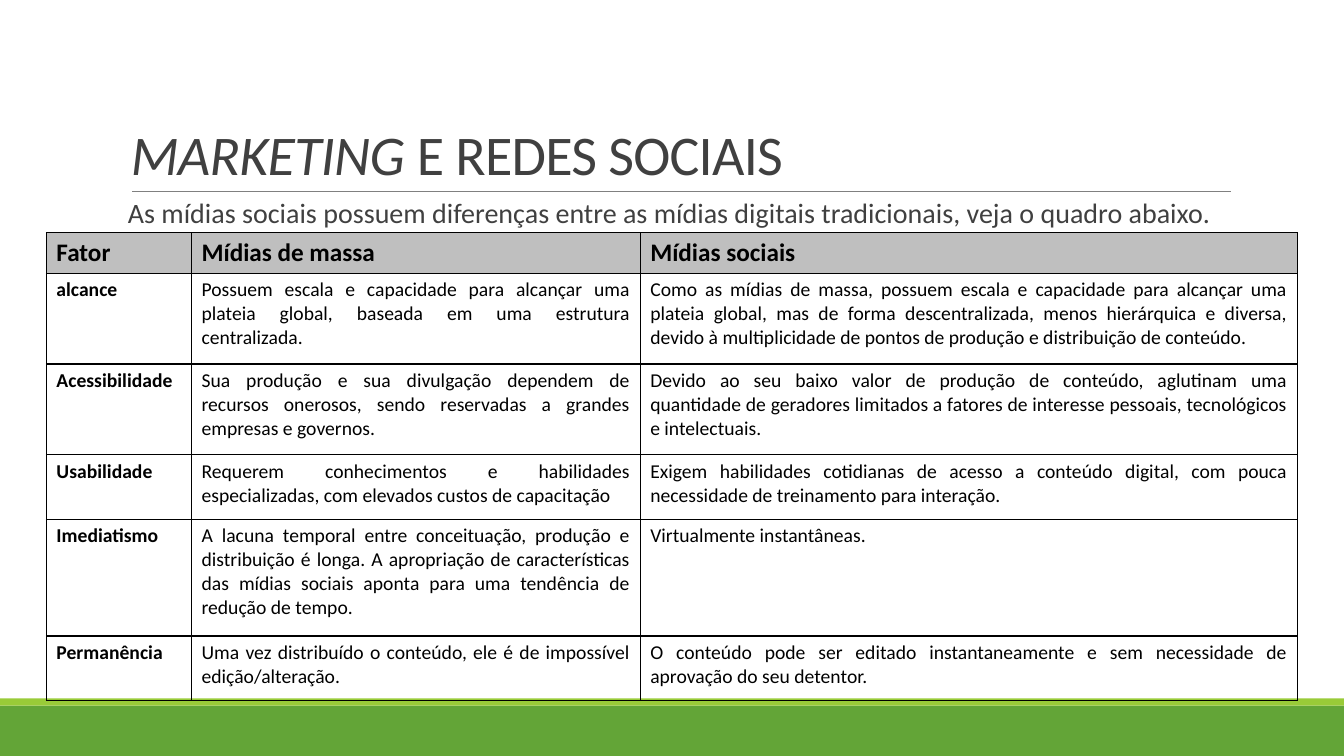
from lxml import etree
from pptx import Presentation
from pptx import util as u
from pptx.dml.color import RGBColor
from pptx.enum import shapes, text
from pptx.oxml.ns import qn

BLACK = RGBColor(0x00, 0x00, 0x00)
DARK_GRAY = RGBColor(0x40, 0x40, 0x40)
RULE_GRAY = RGBColor(0x80, 0x80, 0x80)
HEADER_GRAY = RGBColor(0xBF, 0xBF, 0xBF)
GREEN = RGBColor(0x63, 0xA5, 0x37)
LIME = RGBColor(0x99, 0xCB, 0x38)
FONT = "Calibri"

COLUMN_WIDTHS = [1.44, 4.45, 6.52]
ROW_HEIGHTS = [0.4, 0.9, 0.9, 0.64, 1.16, 0.64]
ROWS = [
    ("Fator", "Mídias de massa", "Mídias sociais"),
    ("alcance",
     "Possuem escala e capacidade para alcançar uma plateia global, baseada em uma "
     "estrutura centralizada.",
     "Como as mídias de massa, possuem escala e capacidade para alcançar uma plateia "
     "global, mas de forma descentralizada, menos hierárquica e diversa, devido à "
     "multiplicidade de pontos de produção e distribuição de conteúdo."),
    ("Acessibilidade",
     "Sua produção e sua divulgação dependem de recursos onerosos, sendo reservadas a "
     "grandes empresas e governos.",
     "Devido ao seu baixo valor de produção de conteúdo, aglutinam uma quantidade de "
     "geradores limitados a fatores de interesse pessoais, tecnológicos e intelectuais."),
    ("Usabilidade",
     "Requerem conhecimentos e habilidades especializadas, com elevados custos de "
     "capacitação",
     "Exigem habilidades cotidianas de acesso a conteúdo digital, com pouca necessidade "
     "de treinamento para interação."),
    ("Imediatismo",
     "A lacuna temporal entre conceituação, produção e distribuição é longa. A "
     "apropriação de características das mídias sociais aponta para uma tendência de "
     "redução de tempo.",
     "Virtualmente instantâneas."),
    ("Permanência",
     "Uma vez distribuído o conteúdo, ele é de impossível edição/alteração.",
     "O conteúdo pode ser editado instantaneamente e sem necessidade de aprovação do "
     "seu detentor."),
]


def add_span(para, words, size, color=DARK_GRAY, bold=False, italic=False, spacing=None):
    """Append a run; spacing is the tracking in points."""
    span = para.add_run()
    span.text = words
    font = span.font
    font.name, font.size, font.bold, font.italic = FONT, u.Pt(size), bold, italic
    font.color.rgb = color
    if spacing is not None:
        span._r.get_or_add_rPr().set("spc", str(round(spacing * 100)))


def add_text_box(page, left, top, width, height, anchor, line_spacing, inset=0.1):
    """Return the first paragraph of a new wrapping text box."""
    box = page.shapes.add_textbox(*map(u.Inches, (left, top, width, height)))
    frame = box.text_frame
    frame.word_wrap = True
    frame.vertical_anchor = anchor
    frame.margin_left = u.Inches(inset)
    frame.margin_right = u.Inches(0.1)
    para = frame.paragraphs[0]
    para.line_spacing = line_spacing
    return para


def add_footer(page, left, top, width, height, stripe=0.07):
    for color, y, depth in ((GREEN, top + stripe, height - stripe), (LIME, top, stripe)):
        band = page.shapes.add_shape(shapes.MSO_SHAPE.RECTANGLE,
                                     *map(u.Inches, (left, y, width, depth)))
        band.shadow.inherit = False
        band.fill.solid()
        band.fill.fore_color.rgb = color
        band.line.fill.background()


def add_title(page, left, top, width, height):
    para = add_text_box(page, left, top, width, height, text.MSO_ANCHOR.BOTTOM, 0.85)
    add_span(para, "MARKETING ", 40, italic=True, spacing=-0.5)
    add_span(para, "E REDES SOCIAIS", 40, spacing=-0.5)
    rule_left, rule_y = left + 0.11, top + height
    rule = page.shapes.add_connector(
        shapes.MSO_CONNECTOR.STRAIGHT,
        *map(u.Inches, (rule_left, rule_y, rule_left + 10.9, rule_y)))
    rule.line.color.rgb = RULE_GRAY
    rule.line.width = u.Pt(0.5)
    etree.SubElement(rule._element.spPr, qn("a:effectLst"))


def add_intro(page, left, top, width, height):
    para = add_text_box(page, left, top, width, height, text.MSO_ANCHOR.TOP, 0.9)
    add_span(para, "As mídias sociais possuem diferenças entre as mídias digitais "
                   "tradicionais, veja o quadro abaixo.", 20)


def set_borders(cell, color, width):
    properties = cell._tc.get_or_add_tcPr()
    for position, side in enumerate(("lnL", "lnR", "lnT", "lnB")):
        line = etree.Element(qn("a:" + side), w=str(u.Pt(width)))
        fill = etree.SubElement(line, qn("a:solidFill"))
        etree.SubElement(fill, qn("a:srgbClr"), val=str(color))
        properties.insert(position, line)


def add_comparison_table(page, left, top):
    sizes = (left, top, sum(COLUMN_WIDTHS), sum(ROW_HEIGHTS))
    table = page.shapes.add_table(len(ROWS), len(COLUMN_WIDTHS),
                                  *map(u.Inches, sizes)).table
    table.horz_banding = False
    for column, width in zip(table.columns, COLUMN_WIDTHS):
        column.width = u.Inches(width)
    for row, height in zip(table.rows, ROW_HEIGHTS):
        row.height = u.Inches(height)
    for row_index, row in enumerate(ROWS):
        header = row_index == 0
        for column_index, words in enumerate(row):
            cell = table.cell(row_index, column_index)
            if header:
                cell.fill.solid()
                cell.fill.fore_color.rgb = HEADER_GRAY
            else:
                cell.fill.background()
            set_borders(cell, BLACK, 1)
            para = cell.text_frame.paragraphs[0]
            para.alignment = text.PP_ALIGN.JUSTIFY
            add_span(para, words, 18 if header else 14, BLACK,
                     bold=header or column_index == 0)


def main():
    deck = Presentation()
    deck.slide_width, deck.slide_height = u.Inches(13.33), u.Inches(7.5)
    page = deck.slides.add_slide(deck.slide_layouts[6])
    add_footer(page, 0, 6.93, 13.33, 0.57)
    add_title(page, 1.2, 0.31, 11, 1.59)
    add_intro(page, 1.17, 1.93, 11, 4.4)
    add_comparison_table(page, 0.46, 2.31)
    deck.save("out.pptx")


if __name__ == "__main__":
    main()
